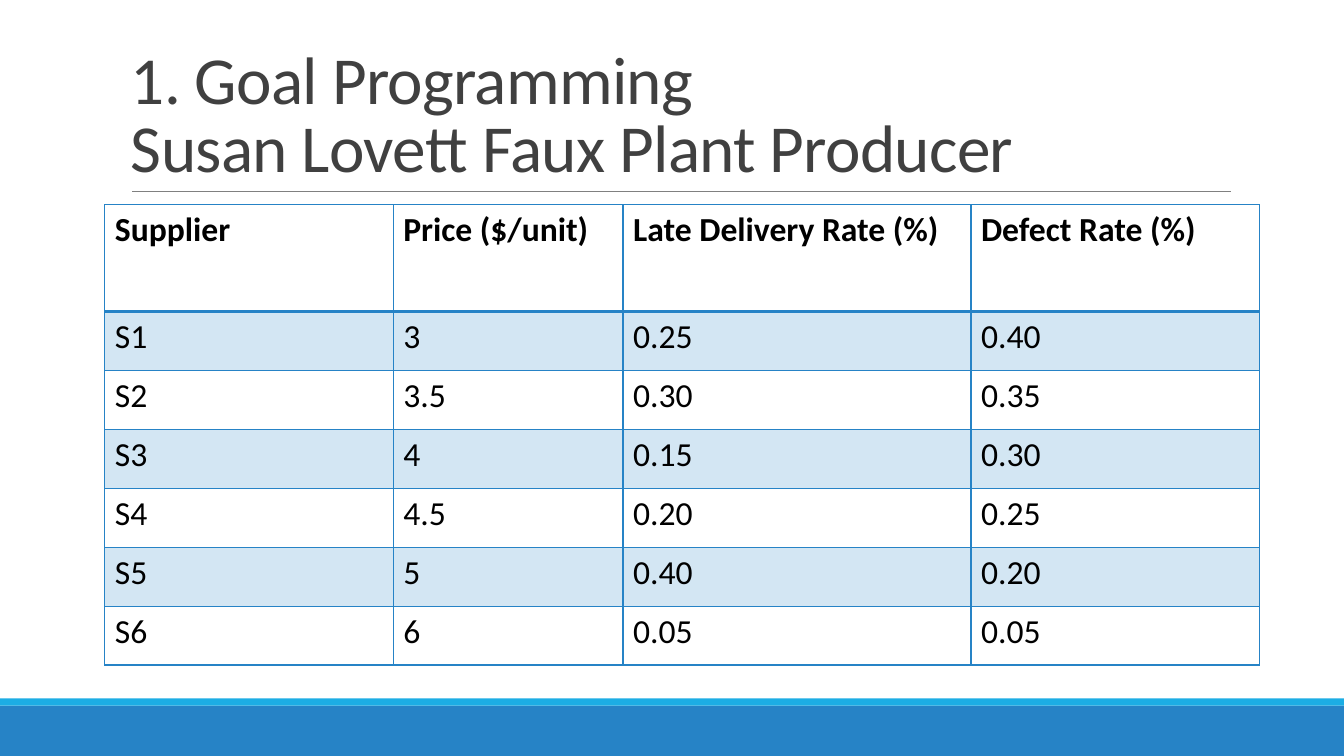
from lxml.etree import SubElement
from pptx import Presentation
from pptx.dml.color import RGBColor
from pptx.enum.shapes import MSO_CONNECTOR, MSO_SHAPE
from pptx.enum.text import MSO_ANCHOR
from pptx.oxml.ns import qn
from pptx.util import Inches, Pt

BLUE = RGBColor(0x26, 0x83, 0xC6)
CYAN = RGBColor(0x1C, 0xAD, 0xE4)
GREY = RGBColor(0x80, 0x80, 0x80)
DARK = RGBColor(0x40, 0x40, 0x40)
BLACK = RGBColor(0, 0, 0)
FONT = "Calibri"
WIDTH, HEIGHT = 13.33, 7.5

TITLE = "1. Goal Programming\vSusan Lovett Faux Plant Producer"
COLUMN_WIDTHS = [2.86, 2.28, 3.45, 2.86]
HEADER_HEIGHT, ROW_HEIGHT = 1.06, 0.585
SUPPLIERS = [
    ["Supplier", "Price ($/unit)", "Late Delivery Rate (%)", "Defect Rate (%)"],
    ["S1", "3", "0.25", "0.40"],
    ["S2", "3.5", "0.30", "0.35"],
    ["S3", "4", "0.15", "0.30"],
    ["S4", "4.5", "0.20", "0.25"],
    ["S5", "5", "0.40", "0.20"],
    ["S6", "6", "0.05", "0.05"],
]


def set_font(r, size, color, bold=False):
    for name, value in dict(name=FONT, size=Pt(size), bold=bold).items():
        setattr(r.font, name, value)
    r.font.color.rgb = color


def add_footer(s, left, top, width, height):
    """Draw a thin cyan strip above a blue band."""
    strip = 0.07
    for y, h, color in [(top + strip, height - strip, BLUE), (top, strip, CYAN)]:
        bar = s.shapes.add_shape(MSO_SHAPE.RECTANGLE, Inches(left), Inches(y),
                                 Inches(width), Inches(h))
        bar.shadow.inherit = False
        bar.fill.solid()
        bar.fill.fore_color.rgb = color
        bar.line.fill.background()


def add_title(s, left, top, width, height):
    """Place the title at the bottom of its box, above a grey rule."""
    bottom = Inches(top + height)
    rule = s.shapes.add_connector(MSO_CONNECTOR.STRAIGHT, Inches(left + 0.11), bottom,
                                  Inches(left + width + 0.01), bottom)
    rule.line.color.rgb = GREY
    rule.line.width = Pt(0.5)
    SubElement(rule._element.spPr, qn("a:effectLst"))

    tf = s.shapes.add_textbox(Inches(left), Inches(top), Inches(width),
                              Inches(height)).text_frame
    tf.word_wrap = True
    tf.vertical_anchor = MSO_ANCHOR.BOTTOM
    p = tf.paragraphs[0]
    p.text = TITLE
    p.line_spacing = 0.85
    for r in p.runs:
        set_font(r, 48, DARK)
        r.font._element.set("spc", "-50")


def set_borders(cell, widths):
    tc_pr = cell._tc.get_or_add_tcPr()
    for i, (side, width) in enumerate(widths.items()):
        ln = SubElement(tc_pr, qn(f"a:ln{side}"), w=str(Pt(width)))
        SubElement(SubElement(ln, qn("a:solidFill")), qn("a:srgbClr"), val=str(BLUE))
        tc_pr.insert(i, ln)


def fill_cell(cell, banded):
    if not banded:
        cell.fill.background()
        return
    cell.fill.solid()
    cell.fill.fore_color.rgb = BLUE
    color = cell._tc.tcPr.find(".//" + qn("a:srgbClr"))
    SubElement(color, qn("a:alpha"), val="20000")


def add_supplier_table(s, left, top):
    height = HEADER_HEIGHT + ROW_HEIGHT * (len(SUPPLIERS) - 1)
    table = s.shapes.add_table(len(SUPPLIERS), len(COLUMN_WIDTHS), Inches(left), Inches(top),
                               Inches(sum(COLUMN_WIDTHS)), Inches(height)).table
    for column, width in zip(table.columns, COLUMN_WIDTHS):
        column.width = Inches(width)
    for i, values in enumerate(SUPPLIERS):
        header = i == 0
        table.rows[i].height = Inches(HEADER_HEIGHT if header else ROW_HEIGHT)
        for j, value in enumerate(values):
            cell = table.cell(i, j)
            cell.text = value
            set_font(cell.text_frame.paragraphs[0].runs[0], 24, BLACK, bold=header)
            fill_cell(cell, banded=i % 2 == 1)
            set_borders(cell, {"L": 1, "R": 1, "T": 2 if i == 1 else 1, "B": 2 if header else 1})


def main():
    prs = Presentation()
    prs.slide_width, prs.slide_height = Inches(WIDTH), Inches(HEIGHT)
    s = prs.slides.add_slide(prs.slide_layouts[6])
    add_footer(s, 0, 6.93, WIDTH, HEIGHT - 6.93)
    add_title(s, 1.2, 0.31, 11, 1.59)
    add_supplier_table(s, 1.04, 2.03)
    prs.save("out.pptx")


if __name__ == "__main__":
    main()
